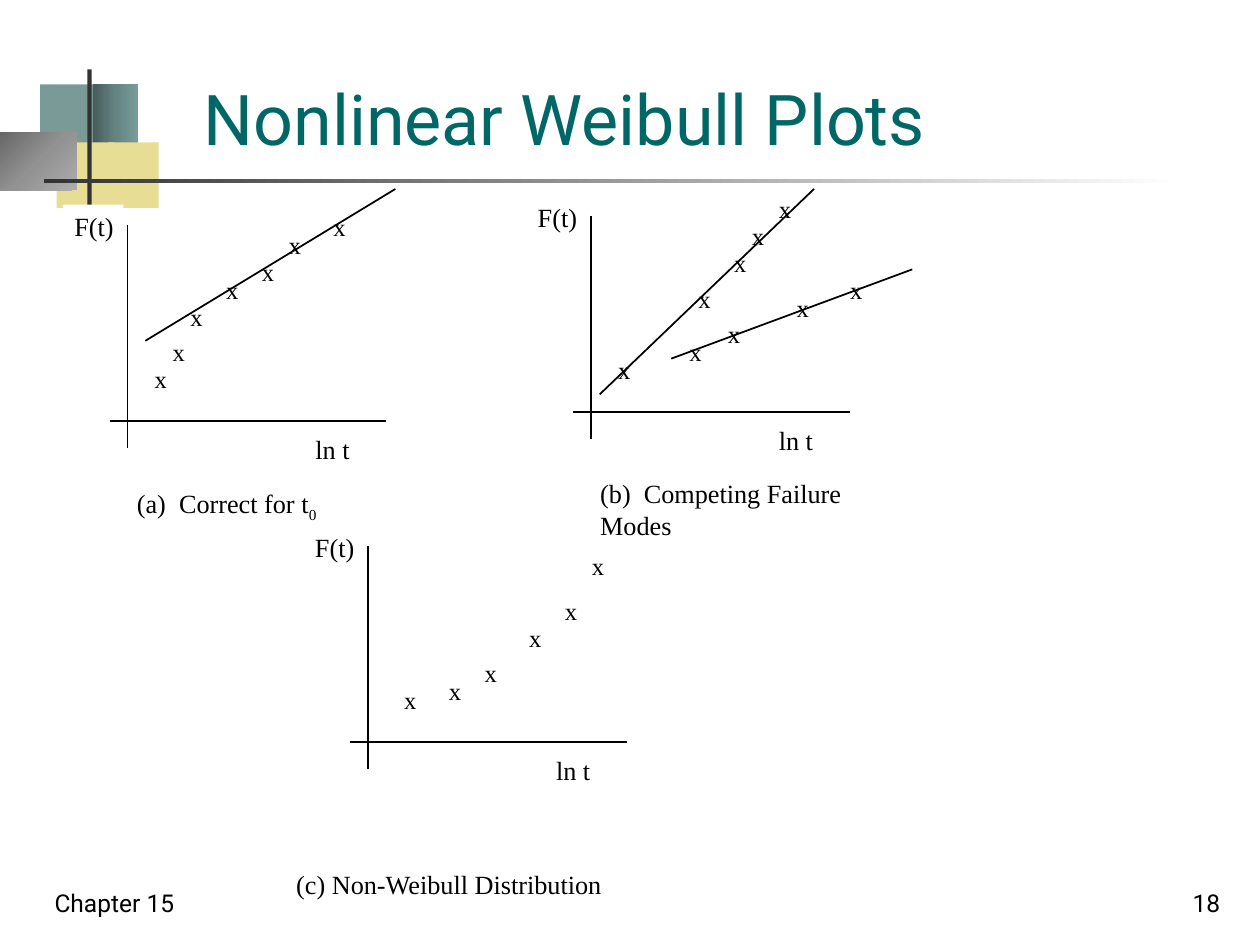
from pptx import Presentation
from pptx.dml.color import RGBColor
from pptx.enum.shapes import MSO_CONNECTOR, MSO_SHAPE
from pptx.enum.text import MSO_ANCHOR, PP_ALIGN
from pptx.oxml import parse_xml
from pptx.oxml.ns import nsdecls, qn
from pptx.util import Cm, Pt

SERIF, SANS = "Times New Roman", "Roboto"
GRID = 0.18
LINEAR = '<a:lin ang="0" scaled="1"/>'
CORNER = '<a:path path="circle"><a:fillToRect r="100000" b="100000"/></a:path>'

DECOR = [
    (0.81, 1.7, 1.22, 1.32, "7A9A98"),
    (1.88, 1.7, 0.91, 1.32, (["475D5B", "658482", "789C9A"], LINEAR)),
    (1.14, 2.87, 1.17, 1.32, "E7DD95"),
    (2.18, 2.87, 1.02, 1.32, "E7DD95"),
    (0, 2.67, 1.55, 1.17, (["676767", "929292", "ADADAD"], CORNER)),
    (1.76, 1.4, 0.09, 2.92, "333333"),
    (0.89, 3.6, 22.86, 0.09, (["333333", "FFFFFF"], LINEAR)),
]

PANELS = [
    dict(
        origin=(11.91, 4.35),
        points=[(2, 15), (10, 13), (14.3, 11), (11, 7), (15, 3), (17, 0),
                (20, -3), (22, 8), (28, 6)],
        fits=[((25, -3), (1, 20)), ((9, 16), (36, 6))],
        caption=("(b)  Competing Failure Modes", 0, 28.7, 6.5, True),
    ),
    dict(
        origin=(2.57, 4.53),
        points=[(2, 15), (4, 12), (6, 8), (10, 5), (14, 3), (17, 0), (22, -2)],
        fits=[((2, 13), (30, -4))],
        caption=("(a)  Correct for t", 0, 28.8, 4.06, False),
        subscript="0",
    ),
    dict(
        origin=(7.42, 11),
        points=[(3, 15), (8, 14), (12, 12), (17, 8), (21, 5), (24, 0)],
        fits=[],
        caption=("(c) Non-Weibull Distribution", -9.1, 35.5, 10.36, True),
    ),
]


def color(value):
    """Return the colour of a hex string."""
    return RGBColor.from_string(value)


def add_block(s, x, y, w, h, fill):
    """Add a rectangle filled with a colour or with a gradient of even stops."""
    sp = s.shapes.add_shape(MSO_SHAPE.RECTANGLE, Cm(x), Cm(y), Cm(w), Cm(h))
    sp.shadow.inherit = False
    sp.line.fill.background()
    if isinstance(fill, str):
        sp.fill.solid()
        sp.fill.fore_color.rgb = color(fill)
        return
    colors, direction = fill
    stops = "".join(
        f'<a:gs pos="{i * 100000 // (len(colors) - 1)}"><a:srgbClr val="{c}"/></a:gs>'
        for i, c in enumerate(colors)
    )
    sp.fill.gradient()
    spPr = sp._element.spPr
    spPr.replace(
        spPr.find(qn("a:gradFill")),
        parse_xml(f'<a:gradFill {nsdecls("a")}><a:gsLst>{stops}</a:gsLst>{direction}</a:gradFill>'),
    )


def style_run(r, size, font, rgb="000000"):
    """Set size, font and colour of a run."""
    r.font.size = Pt(size)
    r.font.name = font
    r.font.color.rgb = color(rgb)


def add_heading(s, text, x, y, w, h, size, rgb="000000", align=PP_ALIGN.LEFT):
    """Add a bottom-anchored sans-serif text box."""
    tf = s.shapes.add_textbox(Cm(x), Cm(y), Cm(w), Cm(h)).text_frame
    tf.word_wrap = True
    tf.vertical_anchor = MSO_ANCHOR.BOTTOM
    p = tf.paragraphs[0]
    p.text = text
    p.alignment = align
    style_run(p.runs[0], size, SANS, rgb)


def add_label(s, text, x, y, w, h, size=15, wrap=False):
    """Add a serif label on white and return its paragraph."""
    sp = s.shapes.add_textbox(Cm(x), Cm(y), Cm(w), Cm(h))
    sp.fill.solid()
    sp.fill.fore_color.rgb = color("FFFFFF")
    tf = sp.text_frame
    tf.word_wrap = wrap
    tf.margin_left = Cm(0.23)
    tf.margin_right = Cm(0.23 if wrap else 0)
    tf.margin_top = tf.margin_bottom = Cm(0.11)
    p = tf.paragraphs[0]
    p.text = text
    style_run(p.runs[0], size, SERIF)
    return p


def add_line(s, start, end):
    """Add a thin black line between two points."""
    c = s.shapes.add_connector(MSO_CONNECTOR.STRAIGHT, *map(Cm, start + end))
    c.line.width = Pt(1)
    c.line.color.rgb = color("000000")
    c._element.spPr.append(parse_xml(f'<a:effectLst {nsdecls("a")}/>'))


def add_panel(s, origin, points, fits, caption, subscript=None):
    """Add one plot: axes, marks, fitted lines and labels on a common grid."""
    def at(col, row):
        """Return the slide position of a grid point."""
        return origin[0] + col * GRID, origin[1] + row * GRID

    def label(text, col, row, *args, **kwargs):
        """Add a label whose box starts just left of a grid point."""
        x, y = at(col, row)
        return add_label(s, text, x - 0.04, y, *args, **kwargs)

    add_line(s, at(0, 0), at(0, 25))
    add_line(s, at(-2, 22), at(29, 22))
    for col, row in points:
        label("x", col, row, 0.69, 0.81, size=14)
    for start, end in fits:
        add_line(s, at(*start), at(*end))
    label("F(t)", -7, -2.25, 1.22, 0.86)
    label("ln t", 20, 22.7, 1.12, 0.86)
    text, col, row, width, wrap = caption
    p = label(text, col, row, width, 0.86, wrap=wrap)
    if subscript:
        r = p.add_run()
        r.text = subscript
        style_run(r, 15, SERIF)
        r.font._element.set("baseline", "-25000")


def main():
    """Build the slide and save it."""
    prs = Presentation()
    prs.slide_width, prs.slide_height = Cm(25.4), Cm(19.05)
    s = prs.slides.add_slide(prs.slide_layouts[6])
    for block in DECOR:
        add_block(s, *block)
    add_heading(s, "Nonlinear Weibull Plots", 3.86, 1.7, 16.69, 1.65, 40, "006666")
    add_heading(s, "Chapter 15", 0.85, 17.35, 5.28, 1.27, 14)
    add_heading(s, "18", 19.57, 17.35, 5.28, 1.27, 14, align=PP_ALIGN.RIGHT)
    for panel in PANELS:
        add_panel(s, **panel)
    prs.save("out.pptx")


if __name__ == "__main__":
    main()
